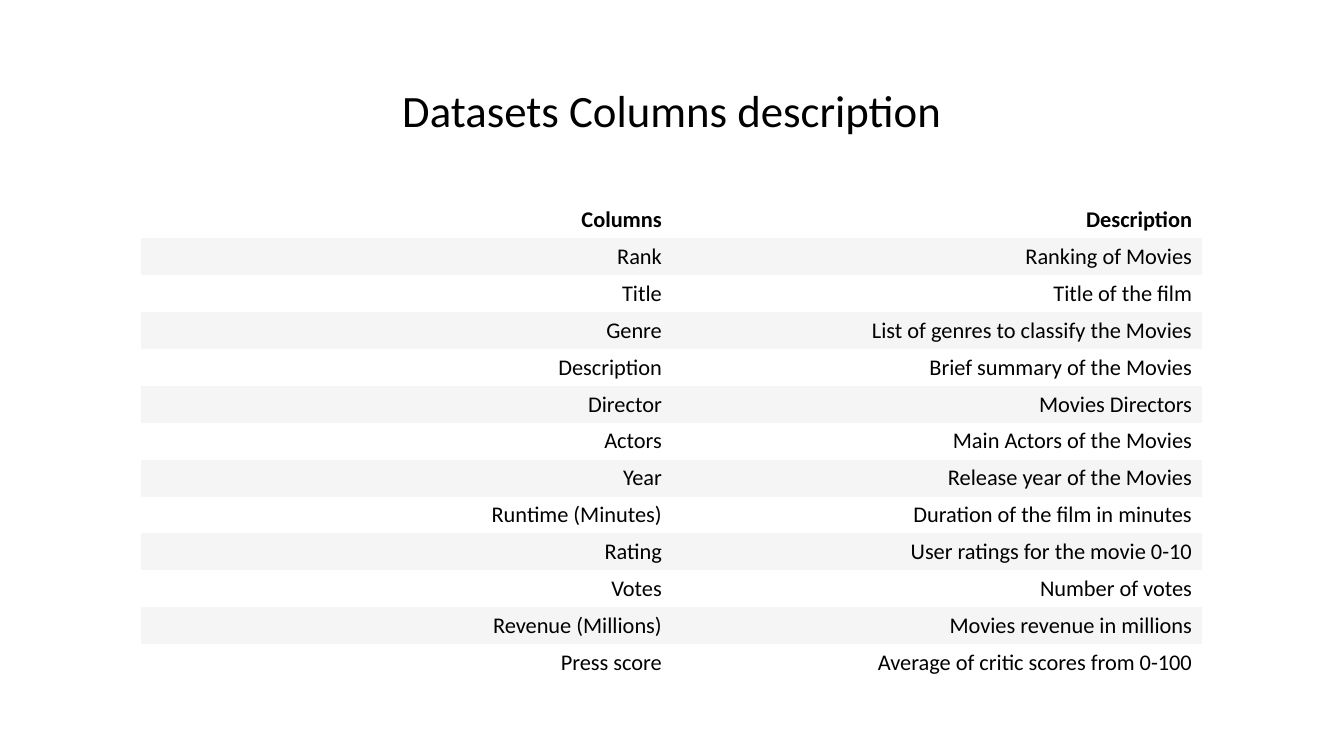
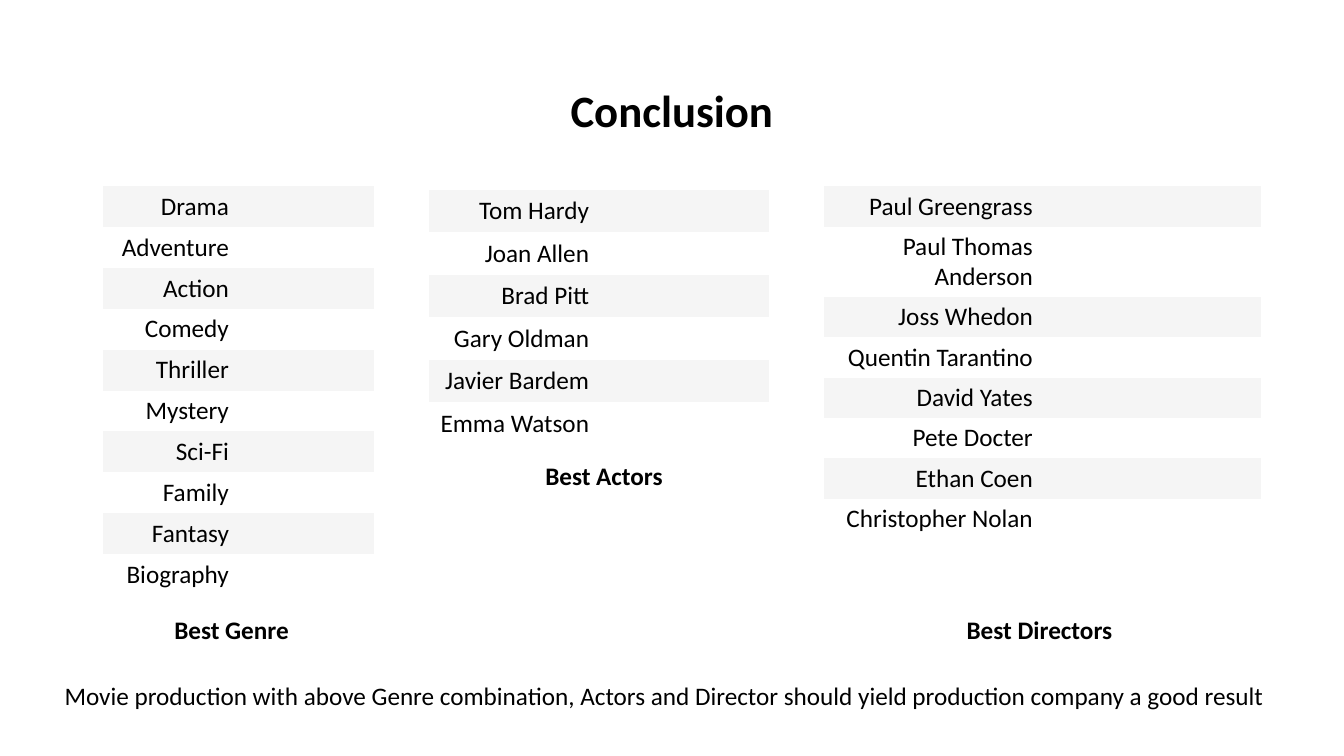
"""Builds two slides on the movie data set: its columns and the conclusion."""
from pptx import Presentation
from pptx.dml.color import RGBColor
from pptx.enum.text import MSO_ANCHOR as ANCHOR, PP_ALIGN as ALIGN
from pptx.util import Pt

FONT = "Calibri"
BLACK, WHITE, GREY = "000000", "FFFFFF", "F5F5F5"
PLAIN_STYLE = "{2D5ABB26-0587-4C30-8999-92F81FD0307C}"

COLUMNS = [
    ("Columns", "Description"),
    ("Rank", "Ranking of Movies"),
    ("Title", "Title of the film"),
    ("Genre", "List of genres to classify the Movies"),
    ("Description", "Brief summary of the Movies"),
    ("Director", "Movies Directors"),
    ("Actors", "Main Actors of the Movies"),
    ("Year", "Release year of the Movies"),
    ("Runtime (Minutes)", "Duration of the film in minutes"),
    ("Rating", "User ratings for the movie 0-10"),
    ("Votes", "Number of votes"),
    ("Revenue (Millions)", "Movies revenue in millions"),
    ("Press score", "Average of critic scores from 0-100"),
]
GENRES = ["Drama", "Adventure", "Action", "Comedy", "Thriller", "Mystery",
          "Sci-Fi", "Family", "Fantasy", "Biography"]
ACTORS = ["Tom Hardy", "Joan Allen", "Brad Pitt", "Gary Oldman",
          "Javier Bardem", "Emma Watson"]
DIRECTORS = ["Paul Greengrass", "Paul Thomas Anderson", "Joss Whedon",
             "Quentin Tarantino", "David Yates", "Pete Docter", "Ethan Coen",
             "Christopher Nolan"]


def rgb(color):
    """Turn a hex string into a colour."""
    return RGBColor.from_string(color)


def style_text(p, size, bold, align):
    """Set the alignment of a paragraph and the font of its runs."""
    p.alignment = align
    for r in p.runs:
        r.font.name, r.font.size, r.font.bold = FONT, Pt(size), bold
        r.font.color.rgb = rgb(BLACK)


def add_text(s, text, x, y, w, h, size=18, bold=False, align=ALIGN.CENTER):
    """Add a one-paragraph text box and return its text frame."""
    tf = s.shapes.add_textbox(Pt(x), Pt(y), Pt(w), Pt(h)).text_frame
    tf.word_wrap = True
    p = tf.paragraphs[0]
    p.text = text
    style_text(p, size, bold, align)
    return tf


def add_title(s, text, bold=False):
    """Add the slide title."""
    tf = add_text(s, text, 66, 28.75, 828, 104.4, 32, bold)
    tf.vertical_anchor = ANCHOR.MIDDLE
    tf.paragraphs[0].line_spacing = 0.9


def add_banded_table(s, rows, x, y, w, row_h, size=18, header=False):
    """Add a two-column table with grey and white rows."""
    frame = s.shapes.add_table(len(rows), 2, Pt(x), Pt(y), Pt(w),
                               Pt(row_h * len(rows)))
    frame.element.xpath(".//a:tableStyleId")[0].text = PLAIN_STYLE
    table = frame.table
    table.first_row = header
    for i, row in enumerate(rows):
        table.rows[i].height = Pt(row_h)
        for cell, text in zip(table.rows[i].cells, row):
            cell.fill.solid()
            cell.fill.fore_color.rgb = rgb(GREY if i % 2 == header else WHITE)
            cell.margin_left = cell.margin_right = Pt(7)
            cell.margin_top = cell.margin_bottom = Pt(3)
            cell.vertical_anchor = ANCHOR.MIDDLE
            p = cell.text_frame.paragraphs[0]
            p.text = text
            style_text(p, size, header and i == 0, ALIGN.RIGHT)
    return table


def add_ranking(s, names, x, y, w, row_h, label, label_x, label_y):
    """Add a list of names with a bold label below it."""
    add_text(s, label + "\t", label_x, label_y, 210, 29, bold=True)
    return add_banded_table(s, [(name, "") for name in names], x, y, w, row_h)


def add_columns_slide(prs):
    """Add the slide that describes the columns."""
    s = prs.slides.add_slide(prs.slide_layouts[6])
    add_title(s, "Datasets Columns description")
    add_banded_table(s, COLUMNS, 101, 144, 757.5, 26.35, 16, True)


def add_conclusion_slide(prs):
    """Add the slide with the best genres, actors and directors."""
    s = prs.slides.add_slide(prs.slide_layouts[6])
    add_title(s, "Conclusion", True)
    add_ranking(s, GENRES, 73.5, 133, 194, 29.2, "Best Genre", 73.5, 435.5)
    add_ranking(s, ACTORS, 306.5, 135.5, 242.5, 30.4, "Best Actors", 338.5, 325.5)
    directors = add_ranking(s, DIRECTORS, 588.5, 133, 312.5, 28.8,
                            "Best Directors", 639.5, 435.5)
    directors.rows[1].height = Pt(50.4)
    add_text(s, "Movie production with above Genre combination, Actors and "
             "Director should yield production company a good result",
             39, 482.5, 882, 29, align=ALIGN.LEFT)


def main():
    """Build and save the presentation."""
    prs = Presentation()
    prs.slide_width, prs.slide_height = Pt(960), Pt(540)
    add_columns_slide(prs)
    add_conclusion_slide(prs)
    prs.save("out.pptx")


if __name__ == "__main__":
    main()
